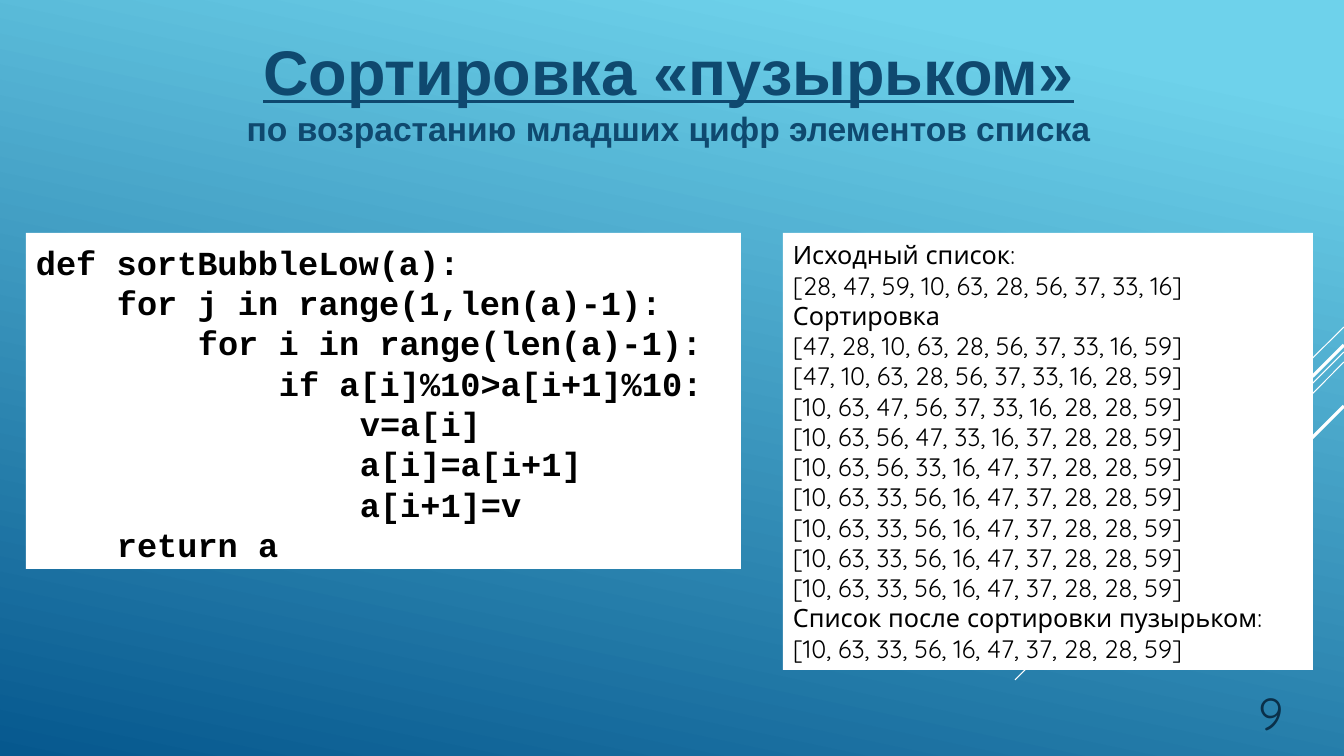
from dataclasses import dataclass

from lxml.etree import SubElement
from pptx import Presentation
from pptx.dml.color import RGBColor
from pptx.enum.shapes import MSO_CONNECTOR, MSO_SHAPE
from pptx.enum.text import MSO_ANCHOR, PP_ALIGN
from pptx.oxml.ns import qn
from pptx.util import Emu, Pt

SCALE = 914400 / 100.8
STEP = 81  # one level of code indent


def px(n: int) -> Emu:
    return Emu(round(n * SCALE))


def color(code: str) -> RGBColor:
    return RGBColor.from_string(code)


@dataclass
class Ray:
    start: tuple[int, int]
    end: tuple[int, int]
    width: float


@dataclass
class Line:
    text: str
    style: dict
    ink: str
    level: int = 0


@dataclass
class Block:
    box: tuple[int, int, int, int]
    lines: list[Line]
    anchor: MSO_ANCHOR
    align: PP_ALIGN = PP_ALIGN.LEFT
    fill: str = ""
    pitch: float = 0


# Text formats
HEAD = {"name": "Arial", "size": Pt(45), "bold": True, "underline": True}
SUB = HEAD | {"size": Pt(24), "underline": False}
CODE = {"name": "Courier New", "size": Pt(24), "bold": True}
LOG = {"name": "Quicksand", "size": Pt(18)}
PAGE = LOG | {"size": Pt(32)}

# Content
RAYS = [
    Ray((1344, 327), (1243, 427), 0.75),
    Ray((1344, 352), (1015, 680), 0.75),
    Ray((1344, 362), (1135, 572), 0.75),
    Ray((1344, 345), (1151, 537), 2.25),
    Ray((1344, 406), (1204, 546), 2.25),
]
STEPS = [
    (0, "def sortBubbleLow(a):"),
    (1, "for j in range(1,len(a)-1):"),
    (2, "for i in range(len(a)-1):"),
    (3, "if a[i]%10>a[i+1]%10:"),
    (4, "v=a[i]"),
    (4, "a[i]=a[i+1]"),
    (4, "a[i+1]=v"),
    (1, "return a"),
]
DONE = "[10, 63, 33, 56, 16, 47, 37, 28, 28, 59]"
PRINTS = [
    "Исходный список:",
    "[28, 47, 59, 10, 63, 28, 56, 37, 33, 16]",
    "Сортировка",
    "[47, 28, 10, 63, 28, 56, 37, 33, 16, 59]",
    "[47, 10, 63, 28, 56, 37, 33, 16, 28, 59]",
    "[10, 63, 47, 56, 37, 33, 16, 28, 28, 59]",
    "[10, 63, 56, 47, 33, 16, 37, 28, 28, 59]",
    "[10, 63, 56, 33, 16, 47, 37, 28, 28, 59]",
    *[DONE] * 4,
    "Список после сортировки пузырьком:",
    DONE,
]
BLOCKS = [
    Block((69, 26, 1199, 127), [
        Line("Сортировка «пузырьком»", HEAD, "0F496F"),
        Line("по возрастанию младших цифр элементов списка", SUB, "0F496F"),
    ], MSO_ANCHOR.BOTTOM, PP_ALIGN.CENTER),
    Block((26, 233, 715, 336),
          [Line(text, CODE, "000000", level) for level, text in STEPS],
          MSO_ANCHOR.BOTTOM, fill="FFFFFF", pitch=28.8),
    Block((783, 233, 530, 437),
          [Line(text, LOG, "000000") for text in PRINTS],
          MSO_ANCHOR.MIDDLE, fill="FFFFFF", pitch=21.6),
    Block((1167, 670, 126, 74), [Line("9", PAGE, "0A304A")],
          MSO_ANCHOR.BOTTOM, PP_ALIGN.RIGHT),
]


def draw_ray(slide, ray: Ray) -> None:
    ends = [px(n) for n in ray.start + ray.end]
    item = slide.shapes.add_connector(MSO_CONNECTOR.STRAIGHT, *ends)
    item.line.color.rgb = color("FFFFFF")
    item.line.width = Pt(ray.width)
    SubElement(item._element.spPr, qn("a:effectLst"))


def draw_block(slide, block: Block) -> None:
    box = [px(n) for n in block.box]
    if block.fill:
        item = slide.shapes.add_shape(MSO_SHAPE.RECTANGLE, *box)
        item.shadow.inherit = False
        item.fill.solid()
        item.fill.fore_color.rgb = color(block.fill)
        item.line.fill.background()
    else:
        item = slide.shapes.add_textbox(*box)
    frame = item.text_frame
    frame.word_wrap = True
    frame.vertical_anchor = block.anchor
    for i, line in enumerate(block.lines):
        para = frame.add_paragraph() if i else frame.paragraphs[0]
        para.alignment = block.align
        if block.pitch:
            para.line_spacing = Pt(block.pitch)
        if line.level:
            props = para._p.get_or_add_pPr()
            props.set("marL", str(px(STEP * line.level)))
            props.set("indent", "0")
        run = para.add_run()
        run.text = line.text
        run.font.color.rgb = color(line.ink)
        for key, value in line.style.items():
            setattr(run.font, key, value)


deck = Presentation()
deck.slide_width, deck.slide_height = px(1344), px(756)
slide = deck.slides.add_slide(deck.slide_layouts[6])

# Background
back = slide.background.fill
back.gradient()
back.gradient_angle = 258
for stop, (spot, code) in zip(back.gradient_stops,
                              [(0.1, "6ED2EB"), (1, "06588E")]):
    stop.position = spot
    stop.color.rgb = color(code)

# Rays, then text over them
for ray in RAYS:
    draw_ray(slide, ray)
for block in BLOCKS:
    draw_block(slide, block)

deck.save("out.pptx")
